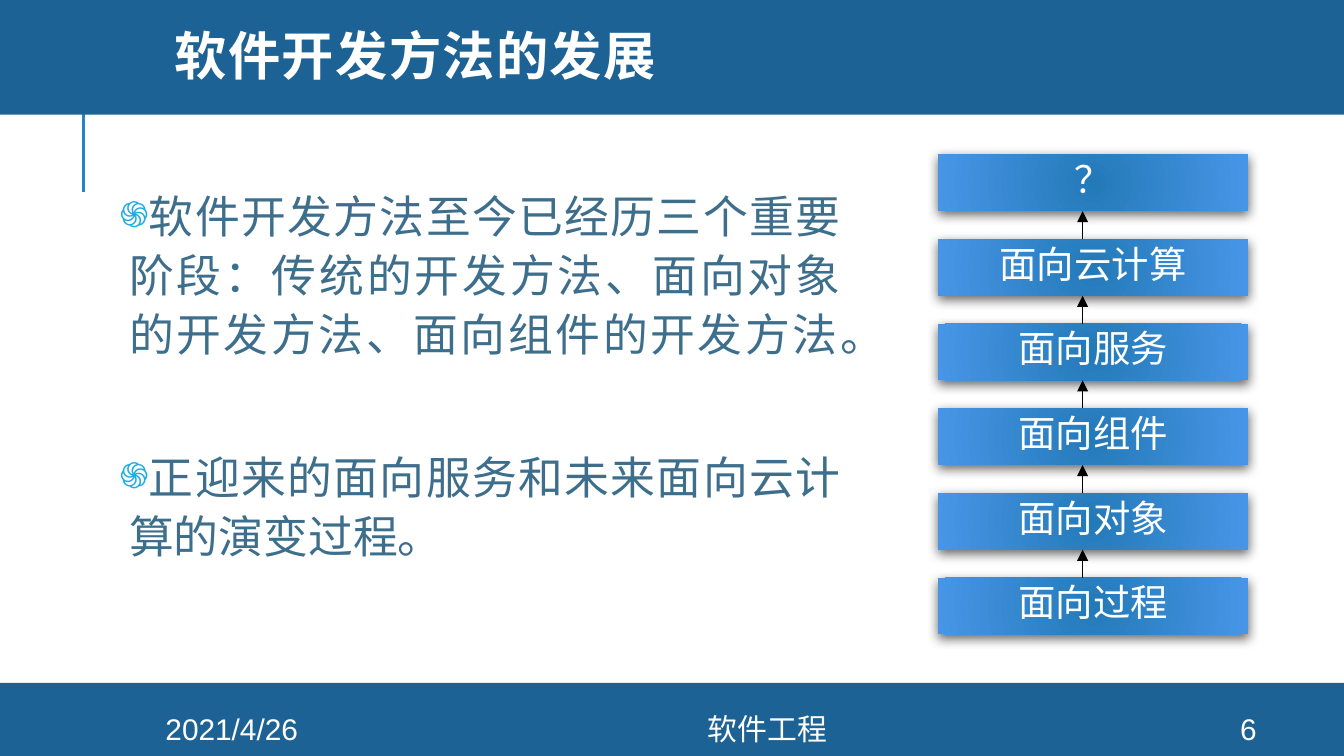
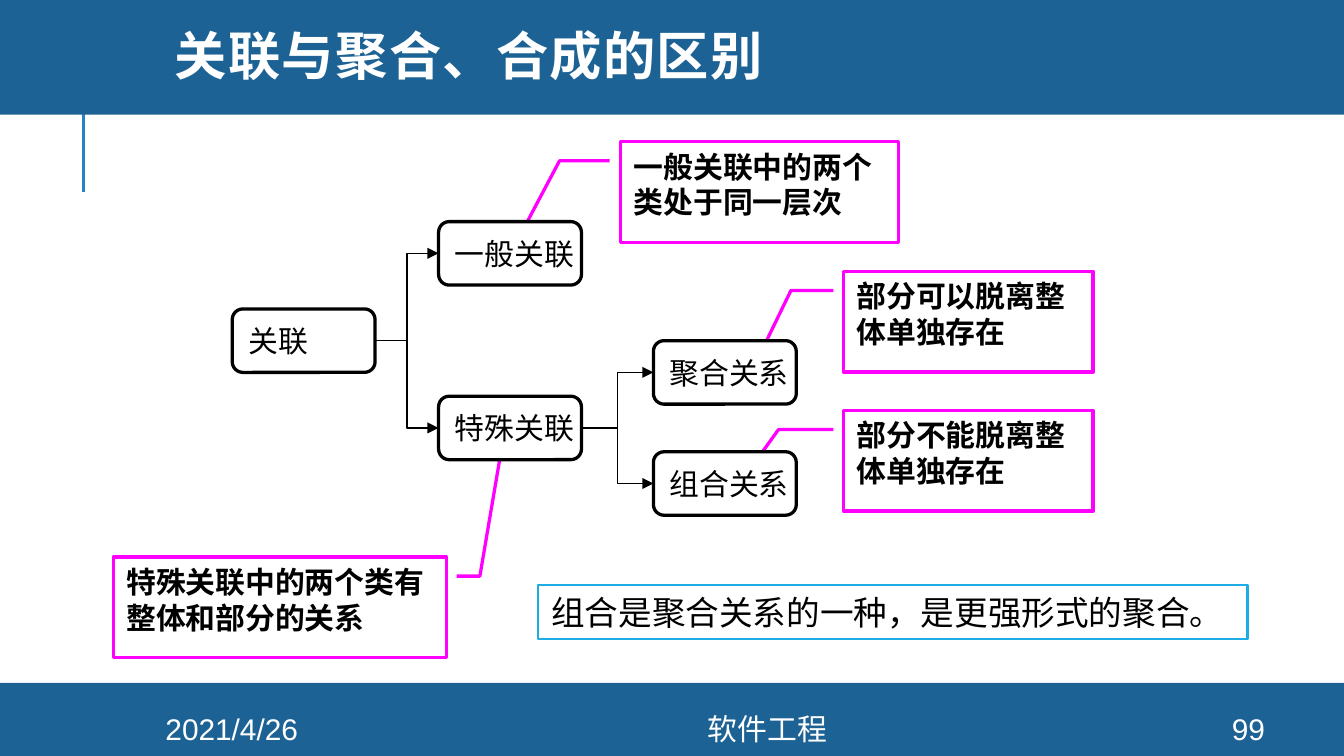
from dataclasses import dataclass

from pptx import Presentation
from pptx.dml.color import RGBColor
from pptx.enum.shapes import MSO_CONNECTOR, MSO_SHAPE
from pptx.enum.text import MSO_ANCHOR, MSO_AUTO_SIZE, PP_ALIGN
from pptx.oxml import parse_xml
from pptx.oxml.ns import nsdecls, qn
from pptx.util import Cm, Pt

# Enum members
RECT, ROUND = MSO_SHAPE.RECTANGLE, MSO_SHAPE.ROUNDED_RECTANGLE
CALL = MSO_SHAPE.LINE_CALLOUT_2
LINE, ELBOW = MSO_CONNECTOR.STRAIGHT, MSO_CONNECTOR.ELBOW
TOP, MID = MSO_ANCHOR.TOP, MSO_ANCHOR.MIDDLE
LEFT, CENTER, JUST = PP_ALIGN.LEFT, PP_ALIGN.CENTER, PP_ALIGN.JUSTIFY
NO_FIT = MSO_AUTO_SIZE.NONE

# Colours and fonts
WHITE = RGBColor(0xFF, 0xFF, 0xFF)
BLACK = RGBColor(0, 0, 0)
BAND = RGBColor(0x1D, 0x62, 0x94)
RULE = RGBColor(0x26, 0x83, 0xC6)
SLATE = RGBColor(0x3D, 0x6E, 0x8C)
CYAN = RGBColor(0x1C, 0xAD, 0xE4)
PINK = RGBColor(0xFF, 0, 0xFF)
CORE = RGBColor(0x23, 0x7A, 0xB8)
EDGE = RGBColor(0x48, 0x95, 0xE7)
SANS, HEAD, HAN = "Arial", "Montserrat", "Noto Sans CJK SC"


@dataclass(frozen=True)
class Area:
    """Lengths in centimetres."""
    x: float
    y: float
    w: float
    h: float

    def spot(self) -> tuple:
        return Cm(self.x), Cm(self.y), Cm(self.w), Cm(self.h)


@dataclass(frozen=True)
class Look:
    size: float = 16
    color: RGBColor = BLACK
    bold: bool = False
    font: str = SANS
    align: PP_ALIGN = LEFT
    anchor: MSO_ANCHOR = TOP
    lead: float = 1.0
    wrap: bool = True


@dataclass(frozen=True)
class Node:
    text: str
    x: float
    y: float


@dataclass(frozen=True)
class Callout:
    text: str
    area: Area
    bends: tuple


TITLE = Look(28, WHITE, True, HEAD, LEFT, MID, 0.8)
FOOT = Look(16, WHITE, align=CENTER, anchor=MID)
STAGE = Look(20, WHITE, align=CENTER, anchor=MID, lead=0.8)
POINT = Look(24, SLATE, font=HAN, align=JUST, lead=1.1)
LABEL = Look(anchor=MID, wrap=False)
REMARK = Look(bold=True)


# Text helpers
def style(para, look: Look) -> None:
    para.alignment = look.align
    para.line_spacing = look.lead
    for run in para.runs:
        font = run.font
        font.size, font.bold, font.name = Pt(look.size), look.bold, look.font
        font.color.rgb = look.color
        han = parse_xml(f'<a:ea {nsdecls("a")} typeface="{HAN}"/>')
        font._element.append(han)


def write(shape, text: str, look: Look) -> None:
    frame = shape.text_frame
    frame.text = text
    frame.word_wrap = look.wrap
    frame.auto_size = NO_FIT
    frame.vertical_anchor = look.anchor
    for para in frame.paragraphs:
        style(para, look)


def place(shape, area: Area) -> None:
    shape.left, shape.top, shape.width, shape.height = area.spot()


# Shape helpers
def box(slide, kind, area: Area, fill=WHITE, edge=None, width: float = 1.75):
    shape = slide.shapes.add_shape(kind, *area.spot())
    shape.shadow.inherit = False
    if fill is not None:
        shape.fill.solid()
        shape.fill.fore_color.rgb = fill
    if edge is None:
        shape.line.fill.background()
    else:
        shape.line.color.rgb = edge
        shape.line.width = Pt(width)
    return shape


def link(slide, kind, start: tuple, end: tuple, color=BLACK,
         width: float = 0.75, arrow: bool = True):
    line = slide.shapes.add_connector(kind, *map(Cm, start + end))
    line.line.color.rgb = color
    line.line.width = Pt(width)
    if arrow:
        line.line._get_or_add_ln().append(
            parse_xml(f'<a:tailEnd {nsdecls("a")} type="triangle"/>'))
    line.element.spPr.append(parse_xml(f'<a:effectLst {nsdecls("a")}/>'))
    return line


def glow(shape) -> None:
    """Give a box its round gradient and soft shadow."""
    props = shape.element.spPr
    props.insert(2, parse_xml(
        f'<a:gradFill {nsdecls("a")} rotWithShape="1"><a:gsLst>'
        f'<a:gs pos="0"><a:srgbClr val="{CORE}"/></a:gs>'
        f'<a:gs pos="100000"><a:srgbClr val="{EDGE}"/></a:gs></a:gsLst>'
        '<a:path path="circle"><a:fillToRect l="100000" t="100000" '
        'r="100000" b="100000"/></a:path></a:gradFill>'))
    props.find(qn("a:effectLst")).append(parse_xml(
        f'<a:outerShdw {nsdecls("a")} blurRad="{Pt(6)}" dist="{Pt(2)}" '
        f'dir="5400000" rotWithShape="0"><a:srgbClr val="{BLACK}">'
        '<a:alpha val="60000"/></a:srgbClr></a:outerShdw>'))


def bullet(para) -> None:
    props = para._p.get_or_add_pPr()
    props.set("marL", str(Cm(0.18)))
    props.set("indent", str(Cm(-1.19)))
    for part in (f'<a:buClr {nsdecls("a")}><a:srgbClr val="{CYAN}"/></a:buClr>',
                 f'<a:buSzPct {nsdecls("a")} val="80000"/>',
                 f'<a:buChar {nsdecls("a")} char="֍"/>'):
        props.append(parse_xml(part))


# Parts that both slides share
def start(deck, layout: int, title: str, page: int):
    slide = deck.slides.add_slide(deck.slide_layouts[layout])
    link(slide, LINE, (1.58, 3.63), (1.58, 1.73), RULE, 1.5, False)
    for area in (Area(0, 12.91, 25.4, 1.38), Area(0, -0.08, 25.4, 2.25)):
        box(slide, RECT, area, BAND)
    head = slide.shapes.title
    place(head, Area(3.05, 0, 21.56, 2.28))
    write(head, title, TITLE)
    for run in head.text_frame.paragraphs[0].runs:
        run.font._element.set("spc", "75")
    slide.shapes.element.append(head.element)  # bring above the band
    for text, x, w in (("2021/4/26", 2.13, 4.5), ("软件工程", 6.62, 15.77),
                       (str(page), 22.58, 2.03)):
        note = slide.shapes.add_textbox(*Area(x, 13.49, w, 0.58).spot())
        write(note, text, FOOT)
    return slide


# Slide: growth of methods
POINTS = (
    "软件开发方法至今已经历三个重要阶段：传统的开发方法、面向对象的开发方法、面向组件的开发方法。",
    "正迎来的面向服务和未来面向云计算的演变过程。",
)
STAGES = ("？", "面向云计算", "面向服务", "面向组件", "面向对象", "面向过程")
STEP, TALL = 1.6, 1.07


def growth(deck) -> None:
    slide = start(deck, 1, "软件开发方法的发展", 6)
    body = slide.placeholders[1]
    place(body, Area(2.13, 3.33, 13.89, 7.98))
    frame = body.text_frame
    frame.margin_left = frame.margin_right = Cm(0.13)
    frame.margin_top = frame.margin_bottom = Cm(0.13)
    write(body, "\n".join(POINTS), POINT)
    for i, para in enumerate(frame.paragraphs):
        bullet(para)
        para.space_before = Pt(45 if i else 0)

    for i, text in enumerate(STAGES):
        y = 2.92 + i * STEP
        stage = box(slide, RECT, Area(17.73, y, 5.86, TALL), None)
        glow(stage)
        write(stage, text, STAGE)
        if i:
            link(slide, LINE, (20.46, y), (20.46, y - STEP + TALL))


# Slide: kinds of association
NODES = {
    "root": Node("关联", 4.39, 5.84),
    "plain": Node("一般关联", 8.29, 4.19),
    "special": Node("特殊关联", 8.29, 7.49),
    "whole": Node("聚合关系", 12.35, 6.44),
    "group": Node("组合关系", 12.35, 8.54),
}
LINKS = (("root", "plain"), ("root", "special"),
         ("special", "whole"), ("special", "group"))
CALLS = (
    Callout("一般关联中的两个类处于同一层次", Area(11.73, 2.68, 5.25, 1.9),
            (0.19, -0.04, 0.19, -0.22, 1.13, -0.4)),
    Callout("特殊关联中的两个类有整体和部分的关系", Area(2.14, 10.53, 6.3, 1.9),
            (0.19, 1.03, 0.19, 1.1, -1.37, 1.18)),
    Callout("部分可以脱离整体单独存在", Area(15.94, 5.13, 4.72, 1.9),
            (0.19, -0.04, 0.19, -0.21, 1.11, -0.39)),
    Callout("部分不能脱离整体单独存在", Area(15.94, 7.76, 4.72, 1.9),
            (0.19, -0.04, 0.19, -0.26, 0.57, -0.37)),
)


def kinds(deck) -> None:
    slide = start(deck, 5, "关联与聚合、合成的区别", 99)
    for call in CALLS:
        shape = box(slide, CALL, call.area, edge=PINK)
        for i, bend in enumerate(call.bends):
            shape.adjustments[i] = bend
        write(shape, call.text, REMARK)

    drawn = {}
    for key, node in NODES.items():
        drawn[key] = box(slide, ROUND, Area(node.x, node.y, 2.7, 1.2),
                         edge=BLACK)
        write(drawn[key], node.text, LABEL)
    for a, b in LINKS:
        line = link(slide, ELBOW, (0, 0), (1, 1))
        line.begin_connect(drawn[a], 3)
        line.end_connect(drawn[b], 1)

    note = box(slide, RECT, Area(10.17, 11.06, 13.41, 1.02), edge=CYAN,
               width=1.25)
    write(note, "组合是聚合关系的一种，是更强形式的聚合。", Look(18))


def main() -> None:
    deck = Presentation()
    deck.slide_width, deck.slide_height = Cm(25.4), Cm(14.29)
    growth(deck)
    kinds(deck)
    deck.save("out.pptx")


if __name__ == "__main__":
    main()
